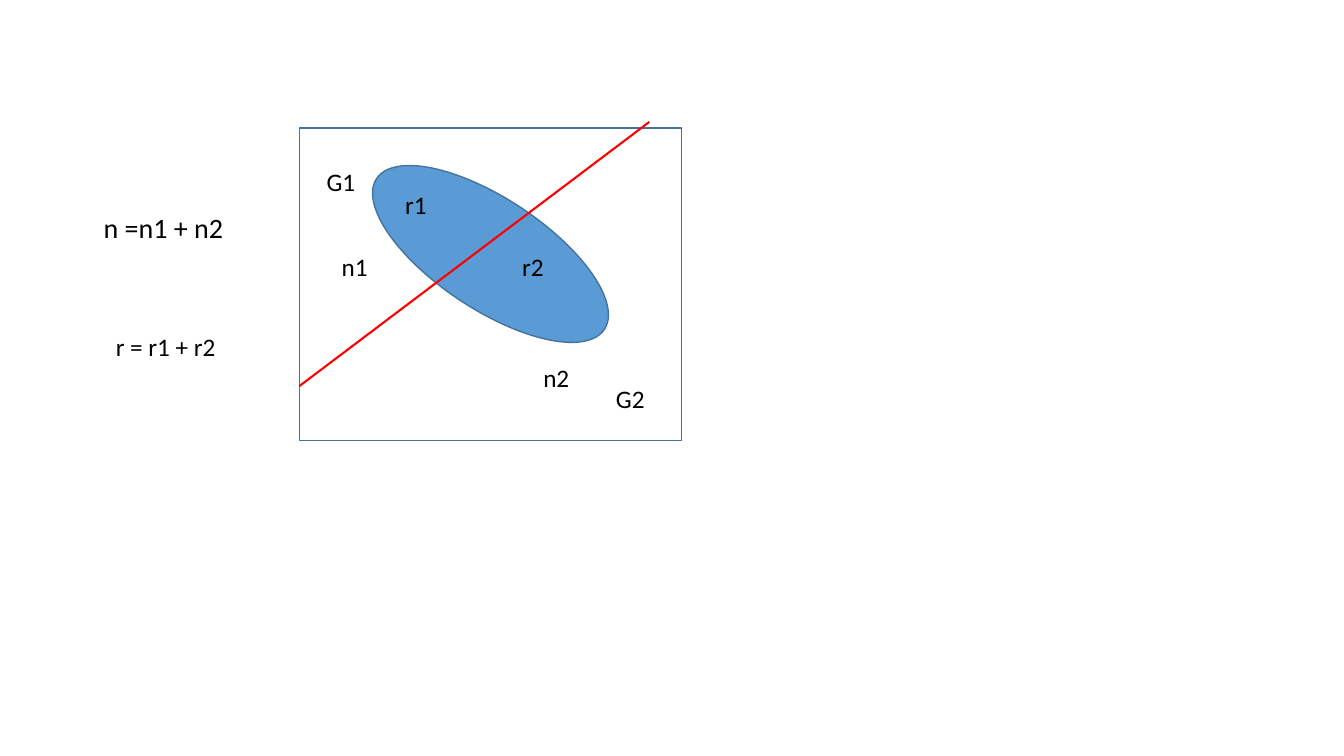
from dataclasses import dataclass

from lxml.etree import SubElement
from pptx import Presentation
from pptx.dml.color import RGBColor
from pptx.enum.shapes import MSO_CONNECTOR, MSO_SHAPE
from pptx.enum.text import MSO_AUTO_SIZE
from pptx.oxml.ns import qn
from pptx.util import Inches, Pt


@dataclass(frozen=True)
class Theme:
    font: str = "Calibri"
    text: str = "000000"
    region: str = "5B9BD5"
    outline: str = "43739E"
    split: str = "FF0000"
    label_size: int = 18
    total_size: int = 20
    outline_width: float = 1
    split_width: float = 1.5


THEME = Theme()


def set_line(line, color, width):
    line.color.rgb = RGBColor.from_string(color)
    line.width = Pt(width)


def add_outlined(slide, preset, left, top, width, height, fill=None, rotation=0):
    """Add a preset shape with the common outline, hollow unless given a fill."""
    shape = slide.shapes.add_shape(
        preset, Inches(left), Inches(top), Inches(width), Inches(height))
    shape.shadow.inherit = False
    shape.rotation = rotation
    if fill:
        shape.fill.solid()
        shape.fill.fore_color.rgb = RGBColor.from_string(fill)
    else:
        shape.fill.background()
    set_line(shape.line, THEME.outline, THEME.outline_width)


def add_split(slide, start, end):
    """Add the straight line that divides the population into two groups."""
    split = slide.shapes.add_connector(
        MSO_CONNECTOR.STRAIGHT, *(Inches(value) for value in (*start, *end)))
    set_line(split.line, THEME.split, THEME.split_width)
    SubElement(split.element.spPr, qn("a:effectLst"))


def add_text(slide, text, left, top, width, height=0.4, size=THEME.label_size,
             color=THEME.text, wrap=False):
    box = slide.shapes.add_textbox(
        Inches(left), Inches(top), Inches(width), Inches(height))
    frame = box.text_frame
    frame.word_wrap = wrap
    frame.auto_size = MSO_AUTO_SIZE.SHAPE_TO_FIT_TEXT
    run = frame.paragraphs[0].add_run()
    run.text = text
    run.font.name = THEME.font
    run.font.size = Pt(size)
    run.font.color.rgb = RGBColor.from_string(color)


def main():
    prs = Presentation()
    prs.slide_width, prs.slide_height = Inches(13.33), Inches(7.5)
    slide = prs.slides.add_slide(prs.slide_layouts[6])

    add_outlined(slide, MSO_SHAPE.RECTANGLE, 2.97, 1.27, 3.79, 3.1)
    add_outlined(slide, MSO_SHAPE.OVAL, 3.51, 1.97, 2.71, 1.1,
                 fill=THEME.region, rotation=33.5)
    add_split(slide, (6.44, 1.21), (2.97, 3.83))

    add_text(slide, "G1", 3.14, 1.6, 0.52, wrap=True)
    labels = [
        ("G2", 6.01, 3.75, 0.49),
        ("n1", 3.29, 2.44, 0.46),
        ("n2", 5.29, 3.55, 0.46),
        ("r1", 3.92, 1.83, 0.42),
        ("r2", 5.08, 2.44, 0.42),
        ("r = r1 + r2", 1.05, 3.24, 1.2),
    ]
    for label in labels:
        add_text(slide, *label)
    add_text(slide, "n =n1 + n2", 0.93, 2.04, 1.4, 0.44, size=THEME.total_size)

    prs.save("out.pptx")


if __name__ == "__main__":
    main()
